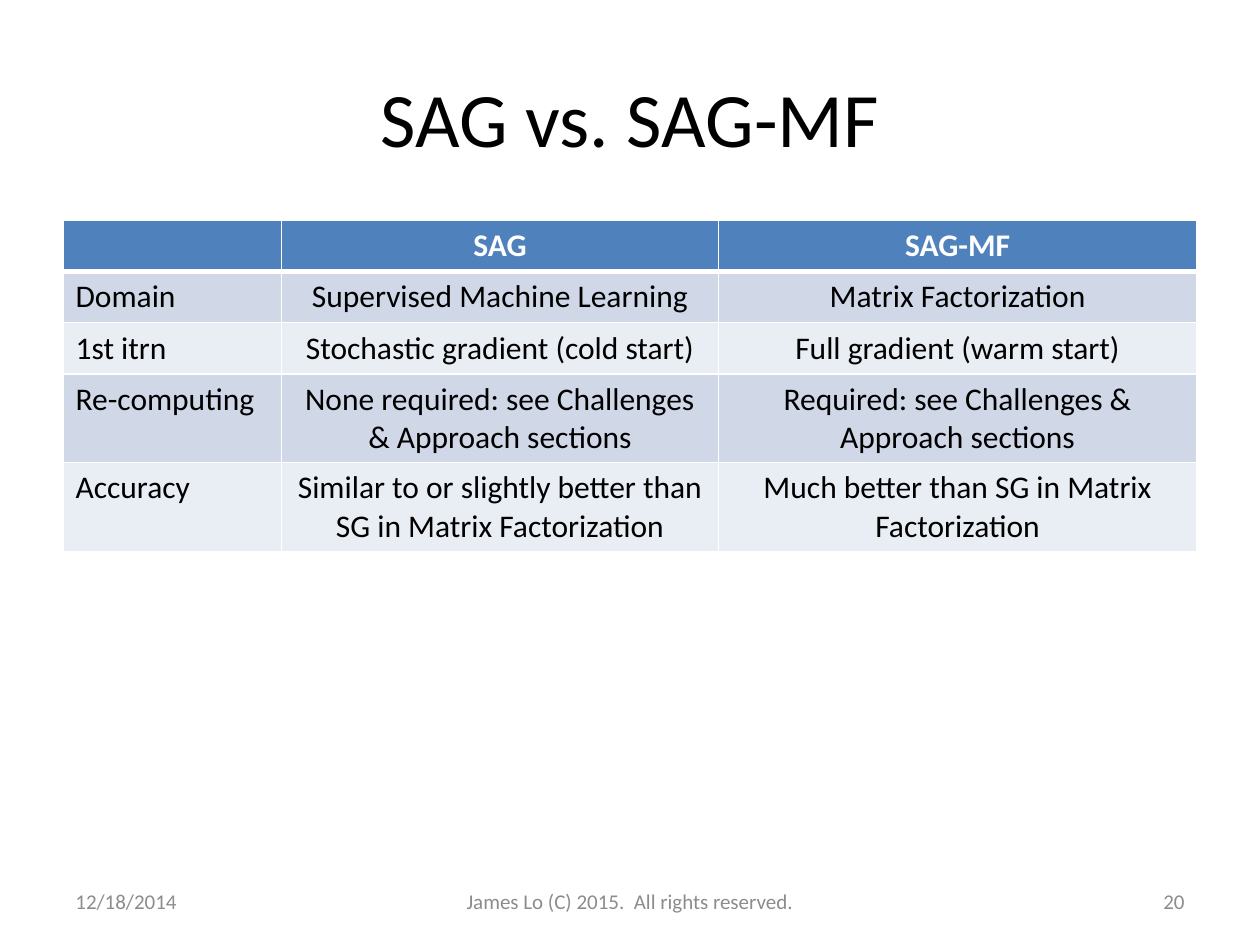
from lxml import etree
from pptx import Presentation
from pptx.dml.color import RGBColor
from pptx.enum.text import MSO_ANCHOR, PP_ALIGN
from pptx.oxml.ns import qn
from pptx.util import Pt

LEFT, CENTER, RIGHT = PP_ALIGN.LEFT, PP_ALIGN.CENTER, PP_ALIGN.RIGHT
MIDDLE = MSO_ANCHOR.MIDDLE

FONT = "Calibri"
COLORS = {
    "text": "000000",
    "white": "FFFFFF",
    "header": "4F81BD",
    "band_dark": "D0D8E8",
    "band_light": "E9EDF4",
    "footer": "8C8C8C",
}
MARGIN = 36
CONTENT_WIDTH = 648
COLUMN_WIDTHS = [125, 249.5, 273.5]
ROW_HEIGHTS = [29.2, 29.2, 29.2, 50.8, 50.8]
ROWS = [
    ["", "SAG", "SAG-MF"],
    ["Domain", "Supervised Machine Learning", "Matrix Factorization"],
    ["1st itrn", "Stochastic gradient (cold start)", "Full gradient (warm start)"],
    [
        "Re-computing",
        "None required: see Challenges & Approach sections",
        "Required: see Challenges & Approach sections",
    ],
    [
        "Accuracy",
        "Similar to or slightly better than SG in Matrix Factorization",
        "Much better than SG in Matrix Factorization",
    ],
]
FOOTERS = [
    ("12/18/2014", MARGIN, 168, LEFT),
    ("James Lo (C) 2015.  All rights reserved.", 246, 228, CENTER),
    ("20", 516, 168, RIGHT),
]


def rgb(name):
    return RGBColor.from_string(COLORS[name])


def set_text(text_frame, text, size, color, alignment, bold=False):
    text_frame.text = text
    paragraph = text_frame.paragraphs[0]
    paragraph.alignment = alignment
    paragraph.font.size = Pt(size)
    for run in paragraph.runs:
        run.font.name = FONT
        run.font.size = Pt(size)
        run.font.bold = bold
        run.font.color.rgb = rgb(color)


def add_label(slide, text, left, top, width, height, size, color, alignment):
    shape = slide.shapes.add_textbox(Pt(left), Pt(top), Pt(width), Pt(height))
    shape.text_frame.word_wrap = True
    shape.text_frame.vertical_anchor = MIDDLE
    set_text(shape.text_frame, text, size, color, alignment)


def set_borders(cell, widths):
    properties = cell._tc.get_or_add_tcPr()
    for side, width in widths.items():
        line = etree.SubElement(properties, qn(f"a:ln{side}"), w=str(Pt(width)))
        fill = etree.SubElement(line, qn("a:solidFill"))
        etree.SubElement(fill, qn("a:srgbClr"), val=COLORS["white"])


def format_cell(cell, text, row, column):
    is_header = row == 0
    set_text(
        cell.text_frame,
        text,
        18,
        "white" if is_header else "text",
        CENTER if column else LEFT,
        is_header,
    )
    set_borders(
        cell, {"L": 1, "R": 1, "T": 3 if row == 1 else 1, "B": 3 if is_header else 1}
    )
    band = "band_dark" if row % 2 else "band_light"
    cell.fill.solid()
    cell.fill.fore_color.rgb = rgb("header" if is_header else band)


def add_comparison_table(slide):
    table = slide.shapes.add_table(
        len(ROWS), len(COLUMN_WIDTHS),
        Pt(MARGIN), Pt(126), Pt(CONTENT_WIDTH), Pt(sum(ROW_HEIGHTS)),
    ).table
    for column, width in zip(table.columns, COLUMN_WIDTHS):
        column.width = Pt(width)
    for row, height in zip(table.rows, ROW_HEIGHTS):
        row.height = Pt(height)
    for row, texts in enumerate(ROWS):
        for column, text in enumerate(texts):
            format_cell(table.cell(row, column), text, row, column)


def main():
    presentation = Presentation()
    presentation.slide_width = Pt(720)
    presentation.slide_height = Pt(540)
    slide = presentation.slides.add_slide(presentation.slide_layouts[6])
    add_label(
        slide, "SAG vs. SAG-MF", MARGIN, 21.6, CONTENT_WIDTH, 90, 44, "text", CENTER
    )
    add_comparison_table(slide)
    for text, left, width, alignment in FOOTERS:
        add_label(slide, text, left, 500.5, width, 28.75, 12, "footer", alignment)
    presentation.save("out.pptx")


if __name__ == "__main__":
    main()
